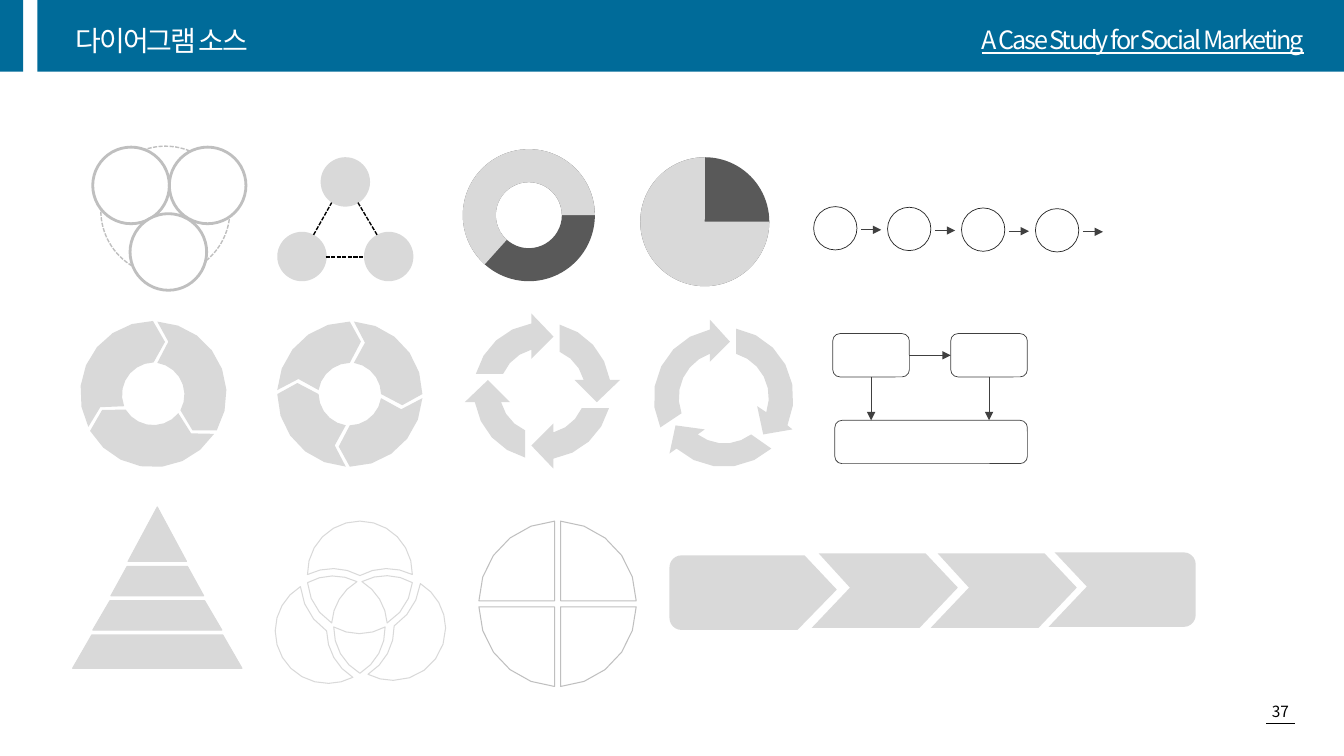
from dataclasses import dataclass
from math import asin, atan2, ceil, cos, degrees, hypot, radians, sin, sqrt
from typing import NamedTuple, Optional

from lxml import etree
from pptx import Presentation
from pptx.dml.color import RGBColor
from pptx.enum.dml import MSO_LINE
from pptx.enum.shapes import MSO_CONNECTOR, MSO_SHAPE
from pptx.enum.text import MSO_ANCHOR, MSO_AUTO_SIZE, PP_ALIGN
from pptx.oxml.ns import qn
from pptx.util import Inches, Pt

RECT, ROUND, OVAL = MSO_SHAPE.RECTANGLE, MSO_SHAPE.ROUNDED_RECTANGLE, MSO_SHAPE.OVAL
PIE, DONUT, BLOCK_ARC = MSO_SHAPE.PIE, MSO_SHAPE.DONUT, MSO_SHAPE.BLOCK_ARC
STRAIGHT, DASH = MSO_CONNECTOR.STRAIGHT, MSO_LINE.SQUARE_DOT
LEFT, CENTER, RIGHT = PP_ALIGN.LEFT, PP_ALIGN.CENTER, PP_ALIGN.RIGHT
TOP, MIDDLE, FIXED = MSO_ANCHOR.TOP, MSO_ANCHOR.MIDDLE, MSO_AUTO_SIZE.NONE
DEGREES_PER_STEP = 18


@dataclass(frozen=True)
class Theme:
    font: str = "Noto Sans CJK KR"
    bar: str = "006B99"
    white: str = "FFFFFF"
    black: str = "000000"
    pale: str = "D9D9D9"
    gray: str = "BFBFBF"
    dark: str = "595959"
    ink: str = "404040"
    ring: str = "262626"
    title_size: int = 20
    header_size: int = 18
    number_size: int = 11


THEME = Theme()


class Stroke(NamedTuple):
    color: str
    width: float
    dashed: bool = False


class Look(NamedTuple):
    fill: Optional[str] = None
    stroke: Optional[Stroke] = None


class Item(NamedTuple):
    kind: int
    left: float
    top: float
    width: float
    height: float
    look: Look
    adjust: tuple = ()


class Vertex(NamedTuple):
    """A signed radius bends the edge that arrives here; positive is clockwise."""
    x: float
    y: float
    radius: float = 0


class Wheel(NamedTuple):
    x: float
    y: float
    count: int
    piece: list


def paint_line(line, stroke: Optional[Stroke]) -> None:
    if stroke is None:
        line.fill.background()
        return
    line.color.rgb = RGBColor.from_string(stroke.color)
    line.width = Pt(stroke.width)
    if stroke.dashed:
        line.dash_style = DASH


def paint(shape, look: Look) -> None:
    shape.shadow.inherit = False
    if look.fill:
        shape.fill.solid()
        shape.fill.fore_color.rgb = RGBColor.from_string(look.fill)
    else:
        shape.fill.background()
    paint_line(shape.line, look.stroke)


def add_item(page, item: Item):
    shape = page.shapes.add_shape(item.kind, *map(Inches, item[1:5]))
    for index, value in enumerate(item.adjust):
        shape.adjustments[index] = value
    paint(shape, item.look)
    return shape


def add_line(page, start: tuple, end: tuple, stroke: Stroke, arrow: bool = False):
    line = page.shapes.add_connector(STRAIGHT, *map(Inches, start + end))
    paint_line(line.line, stroke)
    if arrow:
        etree.SubElement(line.line._get_or_add_ln(), qn("a:tailEnd"), type="triangle")
    etree.SubElement(line._element.spPr, qn("a:effectLst"))
    return line


def bend(start: Vertex, end: Vertex) -> list:
    if not end.radius:
        return [(end.x, end.y)]
    dx, dy = end.x - start.x, end.y - start.y
    chord, radius = hypot(dx, dy), abs(end.radius)
    side = 1 if end.radius > 0 else -1
    reach = side * sqrt(max(0, radius ** 2 - chord ** 2 / 4)) / chord
    hub_x = (start.x + end.x) / 2 - dy * reach
    hub_y = (start.y + end.y) / 2 + dx * reach
    first = atan2(start.y - hub_y, start.x - hub_x)
    sweep = side * 2 * asin(min(1, chord / 2 / radius))
    steps = ceil(degrees(abs(sweep)) / DEGREES_PER_STEP)
    angles = [first + sweep * step / steps for step in range(1, steps + 1)]
    return [(hub_x + radius * cos(a), hub_y + radius * sin(a)) for a in angles]


def add_outline(page, corners: list, look: Look) -> None:
    vertices = [Vertex(*corner) for corner in corners]
    points = [point for pair in zip(vertices, vertices[1:]) for point in bend(*pair)]
    builder = page.shapes.build_freeform(Inches(vertices[0].x), Inches(vertices[0].y))
    builder.add_line_segments([(Inches(x), Inches(y)) for x, y in points], close=True)
    paint(builder.convert_to_shape(), look)


def add_wheel(page, wheel: Wheel, look: Look) -> None:
    for turn in range(wheel.count):
        angle = radians(360 / wheel.count * turn)
        c, s = cos(angle), sin(angle)
        add_outline(page, [(wheel.x + x * c - y * s, wheel.y + x * s + y * c, *radius)
                           for x, y, *radius in wheel.piece], look)


def write(box, text: str, size: int, color: str, align, anchor, spacing: float = 1,
          tracking: int = 0, underline: bool = False) -> None:
    frame = box.text_frame
    frame.text = text
    for name, value in {"word_wrap": True, "auto_size": FIXED, "vertical_anchor": anchor}.items():
        setattr(frame, name, value)
    para = frame.paragraphs[0]
    for name, value in {"alignment": align, "line_spacing": spacing}.items():
        setattr(para, name, value)
    span = para.runs[0]
    for name, value in {"name": THEME.font, "size": Pt(size), "underline": underline}.items():
        setattr(span.font, name, value)
    span.font.color.rgb = RGBColor.from_string(color)
    properties = span._r.get_or_add_rPr()
    properties.set("spc", str(tracking))
    etree.SubElement(properties, qn("a:ea"), typeface=THEME.font)


SOLID, DARK, BAR = Look(THEME.pale), Look(THEME.dark), Look(THEME.bar)
DISC = Look(THEME.white, Stroke(THEME.gray, 2))
ARROW, LINK = Stroke(THEME.ink, 0.5), Stroke(THEME.black, 1, True)
PALE_EDGE = Stroke(THEME.pale, 0.75)

ITEMS = [
    Item(OVAL, 1, 1.45, 1.28, 1.28, Look(None, Stroke(THEME.gray, 1, True))),
    *[Item(OVAL, x, y, 0.76, 0.76, DISC) for x, y in [(0.92, 1.46), (1.68, 1.46), (1.29, 2.12)]],
    *[Item(OVAL, x, y, 0.49, 0.49, SOLID) for x, y in [(3.18, 1.56), (2.75, 2.3), (3.61, 2.3)]],
    Item(OVAL, 6.35, 1.56, 1.28, 1.28, DARK),
    Item(PIE, 6.35, 1.56, 1.28, 1.28, SOLID, (0, 162)),
    Item(DONUT, 4.59, 1.48, 1.31, 1.31, DARK, (0.25,)),
    Item(BLOCK_ARC, 4.59, 1.48, 1.31, 1.31, SOLID, (79.14, 0, 0.25)),
]
LINKS = [((3.23, 2.55), (3.61, 2.55)), ((3.11, 2.33), (3.29, 2.01)), ((3.74, 2.33), (3.55, 2.01))]
WHEELS = [
    Wheel(5.38, 3.88, 4, [(0.17, -0.66), (0.17, -0.39), (0.41, -0.11, 0.42), (0.32, -0.11),
                          (0.54, 0.11), (0.77, -0.11), (0.67, -0.11), (0.17, -0.66, -0.68)]),
    Wheel(3.47, 3.91, 4, [(0.04, -0.72), (0.15, -0.51), (0.04, -0.31), (0.31, 0, 0.32),
                          (0.52, 0.11), (0.72, 0), (0.04, -0.72, -0.72)]),
    Wheel(1.52, 3.91, 3, [(0.04, -0.72), (0.15, -0.52), (0.04, -0.31), (0.27, 0.16, 0.32),
                          (0.39, 0.36), (0.63, 0.36), (0.04, -0.72, -0.72)]),
]
THREE_ARROWS = [
    [(7.04, 3.17), (7.04, 3.27), (6.55, 4.24, -0.69), (6.76, 4.1), (7.04, 3.51, 0.46),
     (7.04, 3.59), (7.24, 3.39)],
    [(7.3, 3.26), (7.3, 3.51), (7.6, 4.09, 0.45), (7.51, 4.03), (7.57, 4.31), (7.86, 4.26),
     (7.81, 4.22), (7.3, 3.26, -0.69)],
    [(6.7, 4.22), (6.64, 4.5), (6.71, 4.45), (7.65, 4.45, -0.7), (7.45, 4.31),
     (6.92, 4.31, 0.44), (6.99, 4.26)],
]
VENN = [
    [(3.05, 5.7), (3.57, 5.17, 0.52), (4.09, 5.7, 0.52), (3.57, 5.71, -0.56), (3.05, 5.7, -0.56)],
    [(4.17, 5.79), (3.91, 6.21, 0.6), (3.65, 6.69, 0.55), (3.9, 6.75, -0.52),
     (4.42, 6.23, -0.52), (4.17, 5.79, -0.52)],
    [(3.59, 5.77), (3.84, 6.18, 0.52), (4.09, 5.78, -0.52), (3.59, 5.77, -0.52)],
    [(2.98, 5.82), (2.73, 6.26, -0.52), (3.26, 6.78, -0.52), (3.5, 6.72, -0.52),
     (3.24, 6.26, 0.55), (2.98, 5.82, 0.6)],
    [(3.05, 5.78), (3.29, 6.18, -0.52), (3.54, 5.77, 0.52), (3.05, 5.78, -0.52)],
    [(3.31, 6.22), (3.57, 6.68, -0.52), (3.82, 6.22, -0.52), (3.31, 6.22, 0.52)],
]
PYRAMID = [(0, 0.29, 5.03, 5.57), (0.3, 0.46, 5.62, 5.91), (0.47, 0.64, 5.96, 6.25),
           (0.65, 0.84, 6.3, 6.63)]
PROCESS = [
    [(6.76, 5.51), (7.98, 5.51), (8.3, 5.85), (7.91, 6.25), (6.76, 6.25), (6.64, 6.13, 0.12),
     (6.64, 5.63), (6.76, 5.51, 0.12)],
    *[[(x + 0.07, 5.49), (x + 1.13, 5.49), (x + 1.45, 5.83), (x + 1.07, 6.23), (x, 6.23),
       (x + 0.38, 5.83)] for x in (8.05, 9.23)],
    [(10.46, 5.48), (11.74, 5.48), (11.86, 5.6, 0.12), (11.86, 6.1), (11.74, 6.22, 0.12),
     (10.4, 6.22), (10.78, 5.82)],
]


def add_header(page) -> None:
    for left, width in [(0, 0.23), (0.37, 12.96)]:
        add_item(page, Item(RECT, left, 0, width, 0.71, BAR))
    number = page.shapes.add_textbox(*map(Inches, (12.36, 6.92, 0.68, 0.29)))
    write(number, "37", THEME.number_size, THEME.black, CENTER, TOP)
    add_line(page, (12.56, 7.18), (12.84, 7.18), Stroke(THEME.black, 0.5))
    header = page.shapes.add_textbox(*map(Inches, (8.47, 0.11, 4.56, 0.47)))
    write(header, "A Case Study for Social Marketing", THEME.header_size, THEME.white, RIGHT,
          MIDDLE, 1.3, -150, True)
    title = page.shapes.title
    for name, value in {"left": 0.65, "top": 0.05, "width": 4.56, "height": 0.6}.items():
        setattr(title, name, Inches(value))
    write(title, "다이어그램 소스", THEME.title_size, THEME.white, LEFT, MIDDLE, 1.3, -150)
    title.element.getparent().append(title.element)


def add_flows(page) -> None:
    for step in range(4):
        x, y = 8.07 + 2.2 / 3 * step, 2.05 + 0.02 / 3 * step
        add_item(page, Item(OVAL, x, y, 0.43, 0.43, Look(None, Stroke(THEME.ring, 0.5))))
        add_line(page, (x + 0.47, y + 0.23), (x + 0.67, y + 0.23), ARROW, True)
    first, second, _ = [add_item(page, Item(ROUND, x, y, width, 0.43, Look(None, ARROW)))
                        for x, y, width in [(8.26, 3.31, 0.76), (9.43, 3.31, 0.76), (8.28, 4.17, 1.91)]]
    across = add_line(page, (9.02, 3.53), (9.43, 3.53), ARROW, True)
    across.begin_connect(first, 3)
    across.end_connect(second, 1)
    for box, x in [(first, 8.64), (second, 9.81)]:
        add_line(page, (x, 3.74), (x, 4.17), ARROW, True).begin_connect(box, 2)


def main() -> None:
    deck = Presentation()
    deck.slide_width, deck.slide_height = Inches(13.33), Inches(7.5)
    page = deck.slides.add_slide(deck.slide_layouts[5])
    add_header(page)
    for item in ITEMS:
        add_item(page, item)
    for start, end in LINKS:
        add_line(page, start, end, LINK)
    for wheel in WHEELS:
        add_wheel(page, wheel, SOLID)
    bands = [[(1.56 - a, top), (1.56 + a, top), (1.56 + b, low), (1.56 - b, low)]
             for a, b, top, low in PYRAMID]
    quadrants = [[(5.53 + 0.03 * h, 5.99 + 0.82 * v), (5.53 + 0.03 * h, 5.99 + 0.03 * v),
                  (5.53 + 0.78 * h, 5.99 + 0.03 * v), (5.53 + 0.03 * h, 5.99 + 0.82 * v, 0.8 * h * v)]
                 for h in (-1, 1) for v in (-1, 1)]
    for outlines, look in [(THREE_ARROWS, SOLID), (bands, Look(THEME.pale, PALE_EDGE)),
                           (VENN, Look(None, PALE_EDGE)),
                           (quadrants, Look(None, Stroke(THEME.gray, 0.75))), (PROCESS, SOLID)]:
        for corners in outlines:
            add_outline(page, corners, look)
    add_flows(page)
    deck.save("out.pptx")


if __name__ == "__main__":
    main()
